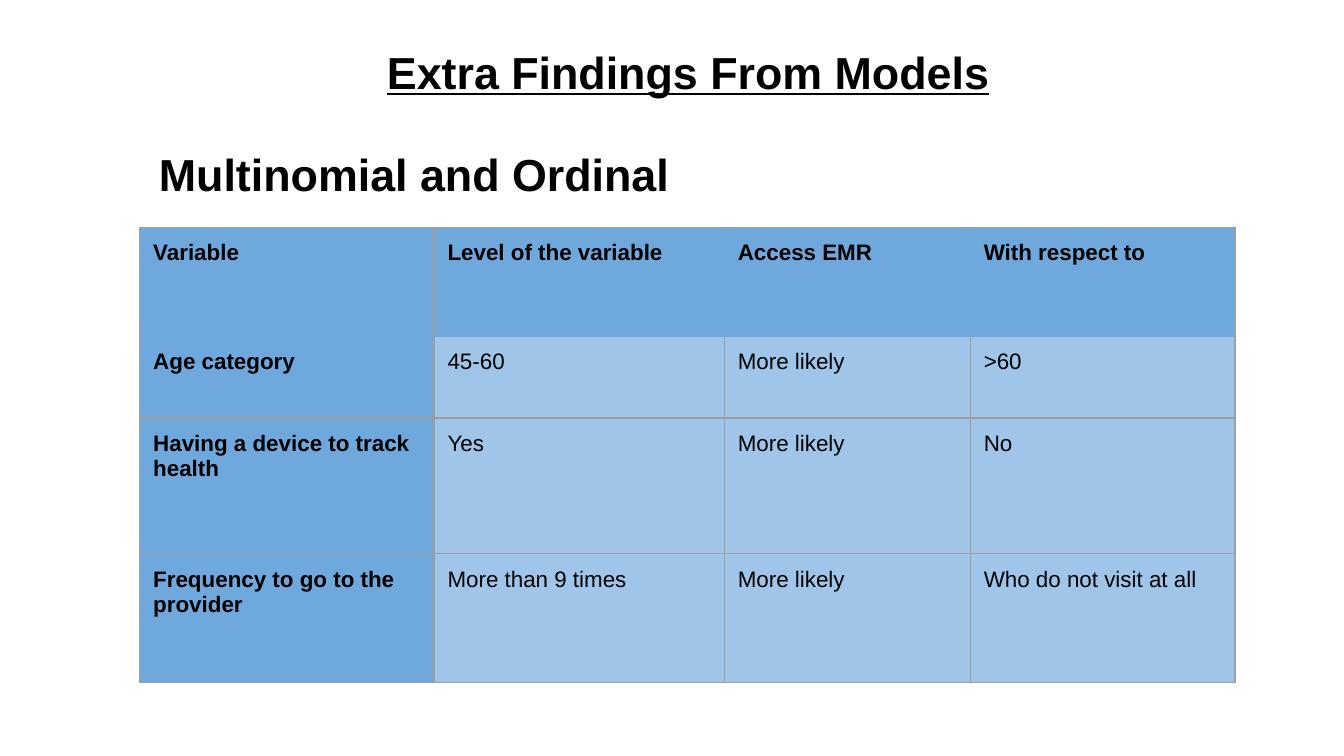
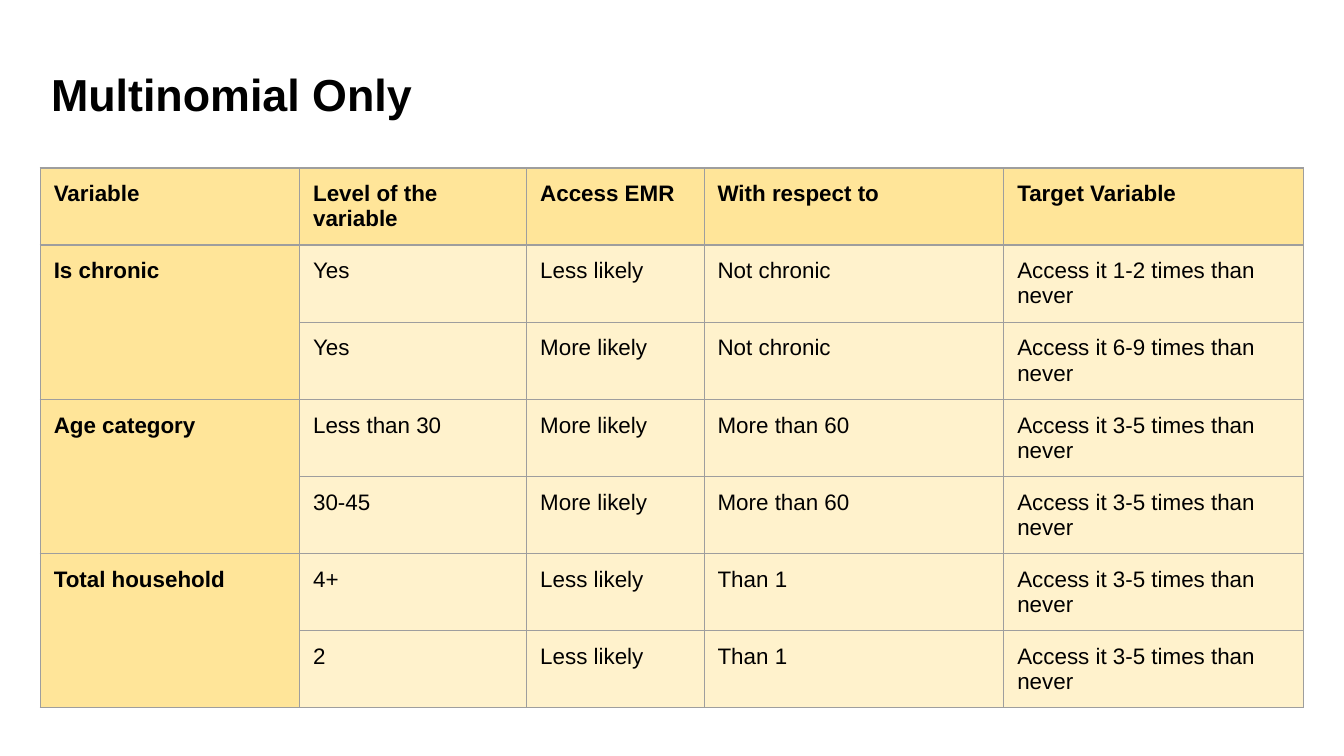
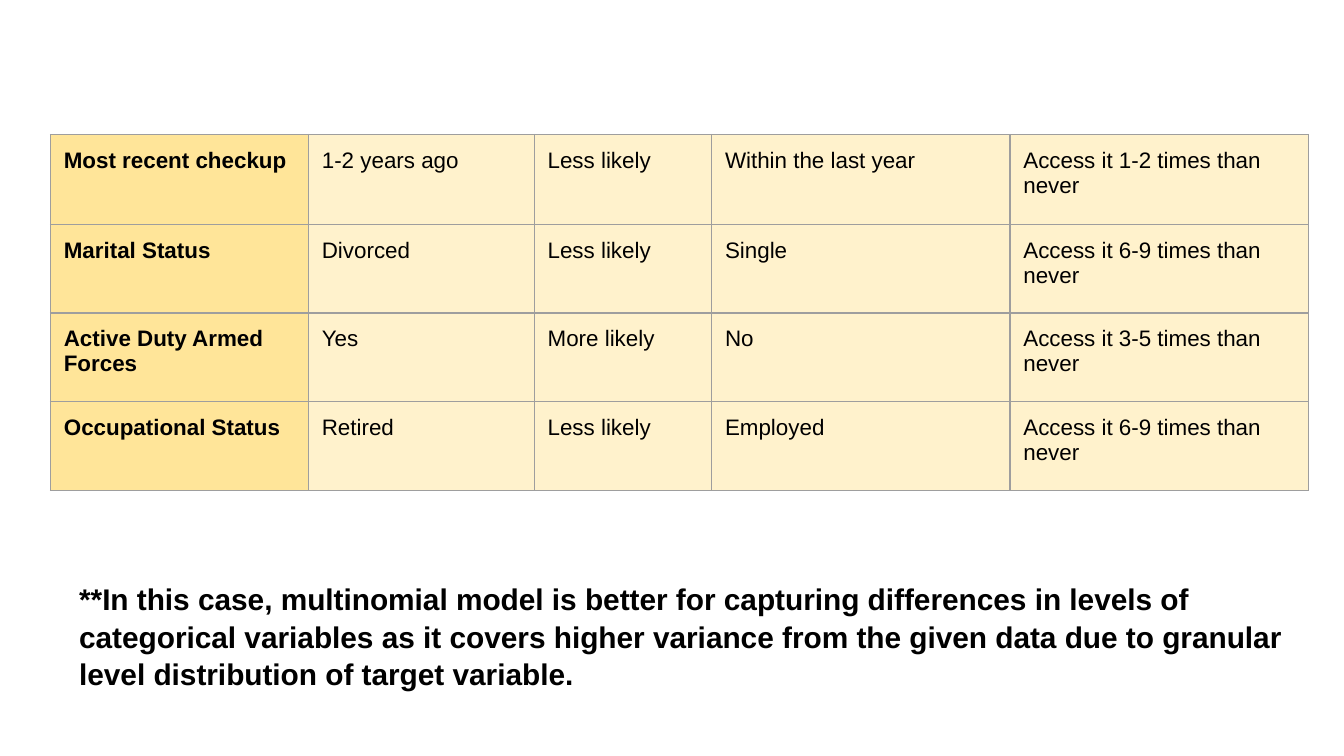
from dataclasses import dataclass

from lxml import etree
from pptx import Presentation
from pptx import util as u
from pptx.dml.color import RGBColor
from pptx.enum import text as txt
from pptx.oxml.ns import qn

# Shared style: a grid of 100 columns by 56.25 rows
SLIDE_W, SLIDE_H = u.Inches(10), u.Inches(5.625)
CELL = SLIDE_W / 100
FONT = "Arial"
COLORS = {
    "ink": "000000",
    "border": "9E9E9E",
    "blue": "6FA8DC",
    "pale_blue": "9FC5E8",
    "yellow": "FFE599",
    "pale_yellow": "FFF2CC",
}
TITLE_ONLY, BLANK = 5, 6


@dataclass(frozen=True)
class Area:
    """A place on the slide, in grid columns and rows."""
    left: float
    top: float
    width: float = 0
    height: float = 0


@dataclass(frozen=True)
class Findings:
    """A table of findings; a row label of None joins the label above."""
    area: Area
    columns: tuple[float, ...]
    rows: tuple[float, ...]
    entries: tuple[tuple, ...]
    strong: str
    pale: str
    has_header: bool = True
    open_header: bool = False


def grid(cells: float) -> int:
    return round(cells * CELL)


def place(box, area: Area) -> None:
    box.left, box.top = grid(area.left), grid(area.top)
    box.width, box.height = grid(area.width), grid(area.height)


def write(frame, words: str, *, size: float = 12, bold: bool = False,
          underline: bool = False, align=txt.PP_ALIGN.LEFT,
          spacing: float = 1.0) -> None:
    paragraph = frame.paragraphs[0]
    paragraph.alignment = align
    paragraph.line_spacing = spacing
    run = paragraph.add_run()
    run.text = words
    font = run.font
    font.name, font.size = FONT, u.Pt(size)
    font.bold, font.underline = bold, underline
    font.color.rgb = RGBColor.from_string(COLORS["ink"])


def fill_box(box, area: Area, words: str, *, indent: float = 0,
             anchor=txt.MSO_ANCHOR.BOTTOM, size: float = 24, **style) -> None:
    place(box, area)
    frame = box.text_frame
    frame.word_wrap = True
    frame.auto_size = txt.MSO_AUTO_SIZE.NONE
    frame.vertical_anchor = anchor
    frame.margin_left = grid(1 + indent)
    frame.margin_right = frame.margin_top = frame.margin_bottom = grid(1)
    write(frame, words, size=size, bold=True, **style)


def add_text(slide, area: Area, words: str, **style) -> None:
    fill_box(slide.shapes.add_textbox(0, 0, 0, 0), area, words, **style)


def set_borders(cell, sides: dict[str, str]) -> None:
    properties = cell._tc.get_or_add_tcPr()
    for side, color in sides.items():
        line = etree.SubElement(properties, qn(f"a:ln{side}"), w=str(u.Pt(0.75)))
        paint = etree.SubElement(line, qn("a:solidFill"))
        etree.SubElement(paint, qn("a:srgbClr"), val=COLORS[color])


def border_colors(findings: Findings, row: int, column: int) -> dict[str, str]:
    sides = dict.fromkeys("LRTB", "border")
    if findings.open_header:
        # Lines inside the header band blend into its fill
        if row == 0:
            sides["B"] = findings.strong
            if column > 1:
                sides["L"] = findings.strong
            if 0 < column < len(findings.columns) - 1:
                sides["R"] = findings.strong
        elif row == 1:
            sides["T"] = findings.strong
    return sides


def add_findings(slide, findings: Findings) -> None:
    area = findings.area
    table = slide.shapes.add_table(
        len(findings.rows), len(findings.columns), grid(area.left), grid(area.top),
        grid(sum(findings.columns)), grid(sum(findings.rows))).table
    table.first_row = table.horz_banding = False
    for column, width in zip(table.columns, findings.columns):
        column.width = grid(width)
    for row, height in zip(table.rows, findings.rows):
        row.height = grid(height)

    for r, entry in enumerate(findings.entries):
        for c, words in enumerate(entry):
            cell = table.cell(r, c)
            strong = c == 0 or (r == 0 and findings.has_header)
            cell.margin_left = cell.margin_right = grid(1)
            cell.margin_top = cell.margin_bottom = grid(1)
            set_borders(cell, border_colors(findings, r, c))
            cell.fill.solid()
            cell.fill.fore_color.rgb = RGBColor.from_string(
                COLORS[findings.strong if strong else findings.pale])
            if words is None:
                table.cell(r - 1, c).merge(cell)
            else:
                write(cell.text_frame, words, bold=strong)


# Content
HEADINGS = ("Variable", "Level of the variable", "Access EMR", "With respect to")
MORE, LESS = "More likely", "Less likely"


def access(times: str) -> str:
    return f"Access it {times} times than never"


BOTH_MODELS = Findings(
    Area(10.4, 16.9), (21.9, 21.6, 18.3, 19.7), (8.1, 6.1, 10.1, 9.6),
    (
        HEADINGS,
        ("Age category", "45-60", MORE, ">60"),
        ("Having a device to track health", "Yes", MORE, "No"),
        ("Frequency to go to the provider", "More than 9 times", MORE,
         "Who do not visit at all"),
    ),
    "blue", "pale_blue", open_header=True)

MULTINOMIAL = Findings(
    Area(3, 12.5), (19.3, 16.9, 13.2, 22.3, 22.3), (5.73,) * 7,
    (
        HEADINGS + ("Target Variable",),
        ("Is chronic", "Yes", LESS, "Not chronic", access("1-2")),
        (None, "Yes", MORE, "Not chronic", access("6-9")),
        ("Age category", "Less than 30", MORE, "More than 60", access("3-5")),
        (None, "30-45", MORE, "More than 60", access("3-5")),
        ("Total household", "4+", LESS, "Than 1", access("3-5")),
        (None, "2", LESS, "Than 1", access("3-5")),
    ),
    "yellow", "pale_yellow")

MULTINOMIAL_MORE = Findings(
    Area(3.75, 10), (19.2, 16.8, 13.2, 22.2, 22.2), (6.7, 6.6, 6.6, 6.6),
    (
        ("Most recent checkup", "1-2 years ago", LESS, "Within the last year",
         access("1-2")),
        ("Marital Status", "Divorced", LESS, "Single", access("6-9")),
        ("Active Duty Armed Forces", "Yes", MORE, "No", access("3-5")),
        ("Occupational Status", "Retired", LESS, "Employed", access("6-9")),
    ),
    "yellow", "pale_yellow", has_header=False)

CONCLUSION = (
    "**In this case, multinomial model is better for capturing differences in "
    "levels of categorical variables as it covers higher variance from the given "
    "data due to granular level distribution of target variable.")


def main() -> None:
    deck = Presentation()
    deck.slide_width, deck.slide_height = SLIDE_W, SLIDE_H

    def new_slide(layout: int):
        return deck.slides.add_slide(deck.slide_layouts[layout])

    # Findings shared by both models
    both = new_slide(TITLE_ONLY)
    fill_box(both.shapes.title, Area(26.1, 0, 50.2, 8.3),
             "Extra Findings From Models", underline=True,
             align=txt.PP_ALIGN.CENTER)
    add_text(both, Area(3.5, 7.6, 49.6, 8.3), "Multinomial and Ordinal",
             indent=5, align=txt.PP_ALIGN.CENTER)
    add_findings(both, BOTH_MODELS)

    # Findings of the multinomial model
    multinomial = new_slide(TITLE_ONLY)
    fill_box(multinomial.shapes.title, Area(2.8, 1.7, 45.9, 8.3),
             "Multinomial Only")
    add_findings(multinomial, MULTINOMIAL)

    # Further findings and conclusion
    closing = new_slide(BLANK)
    add_findings(closing, MULTINOMIAL_MORE)
    add_text(closing, Area(4.9, 42.1, 92.5, 14), CONCLUSION, size=16,
             anchor=txt.MSO_ANCHOR.TOP, spacing=1.05)

    deck.save("out.pptx")


if __name__ == "__main__":
    main()
